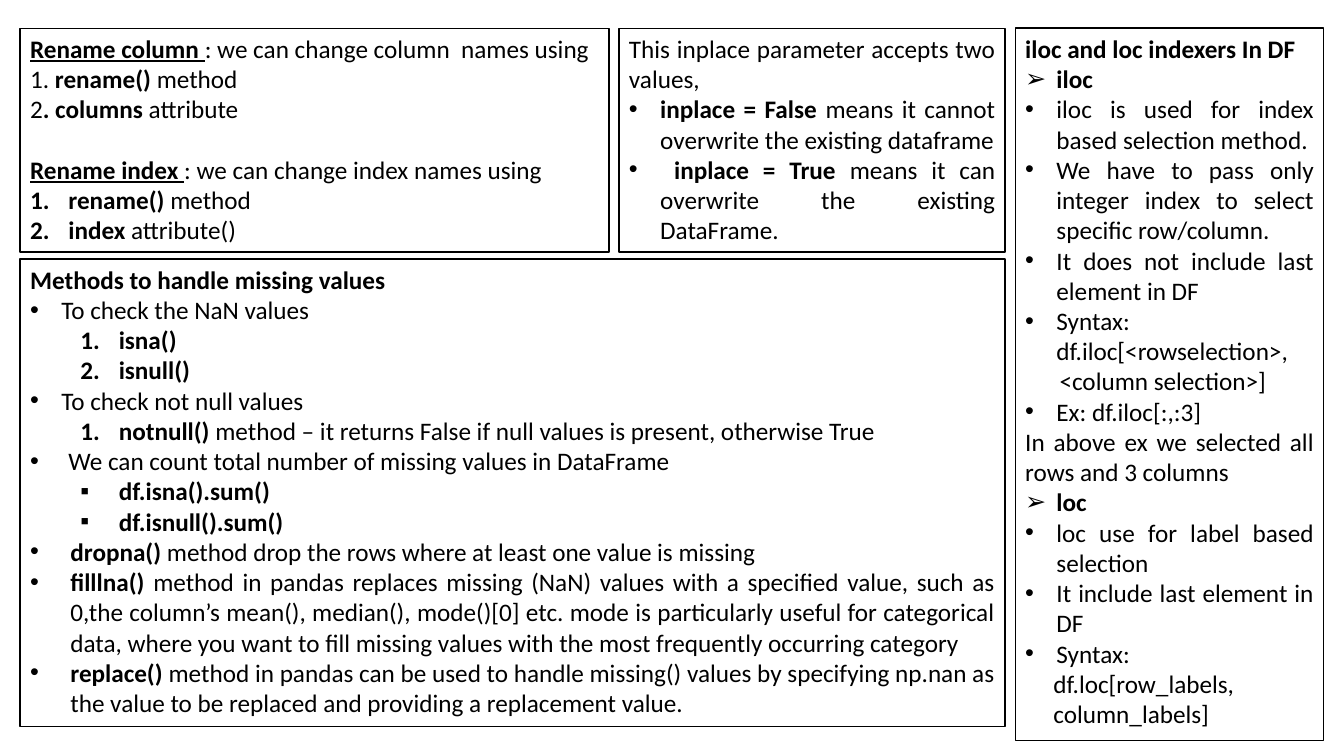
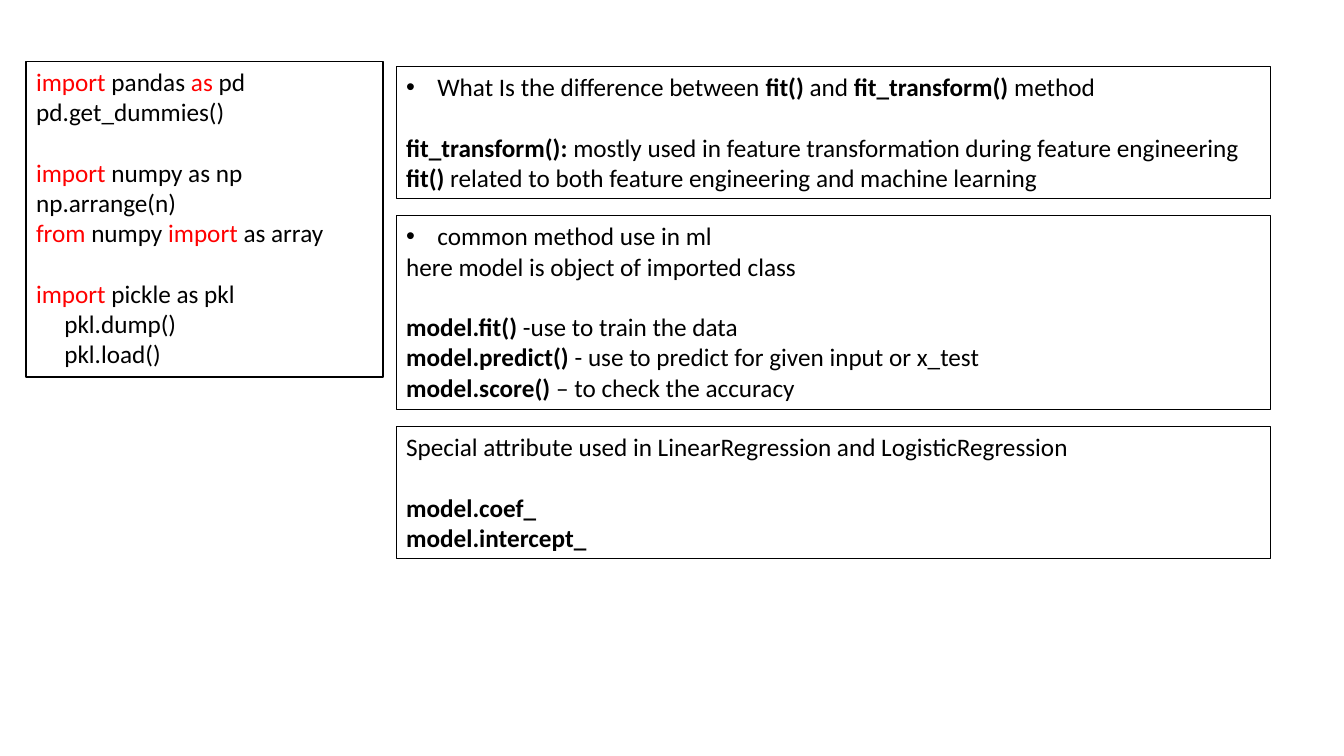
from collections import namedtuple

from lxml import etree
from pptx import Presentation
from pptx.dml.color import RGBColor
from pptx.enum.shapes import MSO_SHAPE
from pptx.enum.text import MSO_ANCHOR, MSO_AUTO_SIZE, PP_ALIGN
from pptx.oxml.ns import qn
from pptx.util import Emu, Inches, Pt

COLORS = {"paper": "FFFFFF", "ink": "000000", "keyword": "FF0000"}
FONT = "Calibri"
TEXT_SIZE = 18
BLANK_LINE = 21.6  # points, the height of one line of text
SLIDE_WIDTH, SLIDE_HEIGHT = 13.33, 7.5
BLANK_LAYOUT = 6

Box = namedtuple("Box", "left top width height")
Run = namedtuple("Run", "text bold underline color", defaults=(False, False, "ink"))
Layout = namedtuple("Layout", "margin indent bullet level justify",
                    defaults=(0, 0, None, 0, True))
Line = namedtuple("Line", "layout runs gap")

# Paragraph layouts, in inches
LAYOUTS = {
    "plain": Layout(justify=False),
    "justified": Layout(),
    "bullet": Layout(0.31, -0.31, "•"),
    "wide bullet": Layout(0.38, -0.38, "•", 1),
    "method bullet": Layout(0.4, -0.4, "•", 2),
    "arrow": Layout(0.31, -0.31, "➢", justify=False),
    "square": Layout(0.88, -0.38, "▪", 2),
    "number": Layout(0.38, -0.38, "1.", justify=False),
    "inner number": Layout(0.88, -0.38, "1.", 1),
    "code": Layout(0.28, justify=False),
    "syntax": Layout(0.34, justify=False),
}


def bold(text):
    return Run(text, bold=True)


def heading(text):
    return Run(text, bold=True, underline=True)


def keyword(text):
    return Run(text, color="keyword")


def line(layout, *runs, gap=False):
    """One paragraph; plain strings become plain runs, gap leaves a line above."""
    return Line(LAYOUTS[layout],
                [Run(run) if isinstance(run, str) else run for run in runs], gap)


def rgb(name):
    return RGBColor.from_string(COLORS[name])


def format_paragraph(paragraph, layout):
    paragraph.alignment = PP_ALIGN.JUSTIFY if layout.justify else PP_ALIGN.LEFT
    paragraph.level = layout.level
    properties = paragraph._p.get_or_add_pPr()
    properties.set("marL", str(Inches(layout.margin)))
    properties.set("indent", str(Inches(layout.indent)))
    if layout.bullet == "1.":
        font, tag, attributes = "+mj-lt", "a:buAutoNum", {"type": "arabicPeriod"}
    elif layout.bullet:
        font, tag, attributes = "Arial", "a:buChar", {"char": layout.bullet}
    else:
        etree.SubElement(properties, qn("a:buNone"))
        return
    etree.SubElement(properties, qn("a:buFont"), typeface=font)
    etree.SubElement(properties, qn(tag), attributes)


def add_run(paragraph, content):
    run = paragraph.add_run()
    run.text = content.text
    run.font.name = FONT
    run.font.size = Pt(TEXT_SIZE)
    run.font.bold = content.bold
    run.font.underline = content.underline
    run.font.color.rgb = rgb(content.color)


def add_note(slide, box, lines):
    """A white framed box filled with paragraphs."""
    shape = slide.shapes.add_shape(MSO_SHAPE.RECTANGLE,
                                   *(Inches(length) for length in box))
    shape.shadow.inherit = False
    shape.fill.solid()
    shape.fill.fore_color.rgb = rgb("paper")
    shape.line.color.rgb = rgb("ink")
    shape.line.width = Pt(1)
    frame = shape.text_frame
    frame.word_wrap = True
    frame.auto_size = MSO_AUTO_SIZE.SHAPE_TO_FIT_TEXT
    frame.vertical_anchor = MSO_ANCHOR.TOP
    for index, content in enumerate(lines):
        paragraph = frame.add_paragraph() if index else frame.paragraphs[0]
        if content.gap:
            paragraph.space_before = Pt(BLANK_LINE)
        format_paragraph(paragraph, content.layout)
        for run in content.runs:
            add_run(paragraph, run)


def tracks(start, sizes, gap):
    """Start of every column or row, laid out with equal gaps."""
    return [start + sum(sizes[:index]) + gap * index for index in range(len(sizes))]


RENAME = [
    line("plain", heading("Rename column "), ": we can change column  names using"),
    line("plain", "1. ", bold("rename() "), "method"),
    line("plain", "2", bold(". columns "), "attribute"),
    line("plain", heading("Rename index "), ": we can change index names using", gap=True),
    line("number", bold("rename() "), "method"),
    line("number", bold("index"), " attribute()"),
]
INPLACE = [
    line("justified", "This inplace parameter accepts two values, "),
    line("bullet", bold("inplace = False "),
         "means it cannot overwrite the existing dataframe"),
    line("bullet", " ", bold("inplace = True "),
         "means it can overwrite the existing DataFrame."),
]
MISSING_VALUES = [
    line("plain", bold("Methods to handle missing values")),
    line("bullet", "To check the NaN values"),
    line("inner number", bold("isna()")),
    line("inner number", bold("isnull()")),
    line("bullet", "To check not null values"),
    line("inner number", bold("notnull()"),
         " method – it returns False if null values is present, otherwise True"),
    line("wide bullet", "We can count total number of missing values in DataFrame"),
    line("square", bold("df.isna().sum()")),
    line("square", bold("df.isnull().sum()")),
    line("method bullet", bold("dropna() "),
         "method drop the rows where at least one value is missing"),
    line("method bullet", bold("filllna() "),
         "method in pandas replaces missing (NaN) values with a specified value, such as "
         "0,the column’s mean(), median(), mode()[0] etc. mode is particularly useful for "
         "categorical data, where you want to fill missing values with the most "
         "frequently occurring category "),
    line("method bullet", bold("replace() "),
         "method in pandas can be used to handle missing() values by specifying np.nan as "
         "the value to be replaced and providing a replacement value."),
]
INDEXERS = [
    line("plain", bold("iloc and loc indexers In DF")),
    line("arrow", bold("iloc")),
    line("bullet", "iloc is used for index based selection method."),
    line("bullet", "We have to pass only integer index to select specific row/column."),
    line("bullet", "It does not include last element in DF"),
    line("bullet", "Syntax: df.iloc[<rowselection>,"),
    line("syntax", "<column selection>]"),
    line("bullet", "Ex: df.iloc[:,:3]"),
    line("justified", "In above ex we selected all rows and 3 columns"),
    line("arrow", bold("loc")),
    line("bullet", "loc use for label based selection "),
    line("bullet", "It include last element in DF"),
    line("bullet", "Syntax:"),
    line("code", "df.loc[row_labels,"),
    line("code", "column_labels]"),
]
IMPORTS = [
    line("plain", keyword("import"), " pandas ", keyword("as"), " pd"),
    line("plain", "pd.get_dummies()"),
    line("plain", keyword("import"), " numpy as np", gap=True),
    line("plain", "np.arrange(n)"),
    line("plain", keyword("from"), " numpy ", keyword("import"), " as array"),
    line("plain", keyword("import"), " pickle as pkl", gap=True),
    line("code", "pkl.dump()"),
    line("code", "pkl.load()"),
]
FIT_METHODS = [
    line("bullet", "What Is the difference between ", bold("fit() "), "and ",
         bold("fit_transform() "), "method"),
    line("plain", bold("fit_transform(): "),
         "mostly used in feature transformation during feature engineering", gap=True),
    line("plain", bold("fit() "),
         "related to both feature engineering and machine learning"),
]
MODEL_METHODS = [
    line("bullet", "common method use in ml"),
    line("plain", "here model is object of imported class"),
    line("plain", bold("model.fit() "), "-use to train the data", gap=True),
    line("plain", bold("model.predict() "), "- use to predict for given input or x_test"),
    line("plain", bold("model.score() "), "– to check the accuracy"),
]
ATTRIBUTES = [
    line("plain", "Special attribute used in LinearRegression and LogisticRegression"),
    line("plain", bold("model.coef_"), gap=True),
    line("plain", bold("model.intercept_")),
]


def add_dataframe_slide(slide, area):
    """Two notes above a wide one, with a tall column on the right."""
    widths, heights, gap = (5.84, 3.83, 3.06), (2.22, 4.64), 0.1
    lefts = tracks(area.left, widths, gap)
    tops = tracks(area.top, heights, 0.07)
    wide = widths[0] + gap + widths[1]
    add_note(slide, Box(lefts[0], tops[0], widths[0], heights[0]), RENAME)
    add_note(slide, Box(lefts[1], tops[0], widths[1], heights[0]), INPLACE)
    add_note(slide, Box(lefts[0], tops[1], wide, heights[1]), MISSING_VALUES)
    add_note(slide, Box(lefts[2], tops[0], widths[2], area.height), INDEXERS)


def add_model_slide(slide, area):
    """A code note on the left and a stack of notes on the right."""
    widths, heights = (3.54, 8.67), (1.31, 1.92, 1.31)
    left, stack_left = tracks(area.left, widths, 0.13)
    add_note(slide, Box(left, area.top, widths[0], 3.13), IMPORTS)
    stack_tops = tracks(area.top + 0.05, heights, 0.17)
    stack = (FIT_METHODS, MODEL_METHODS, ATTRIBUTES)
    for top, height, lines in zip(stack_tops, heights, stack):
        add_note(slide, Box(stack_left, top, widths[1], height), lines)


def main():
    presentation = Presentation()
    presentation.slide_width = Emu(Inches(SLIDE_WIDTH))
    presentation.slide_height = Emu(Inches(SLIDE_HEIGHT))
    pages = (
        (add_dataframe_slide, Box(0.2, 0.28, 12.93, 7.07)),
        (add_model_slide, Box(0.26, 0.61, 12.34, 4.93)),
    )
    for add_content, area in pages:
        layout = presentation.slide_layouts[BLANK_LAYOUT]
        add_content(presentation.slides.add_slide(layout), area)
    presentation.save("out.pptx")


if __name__ == "__main__":
    main()
